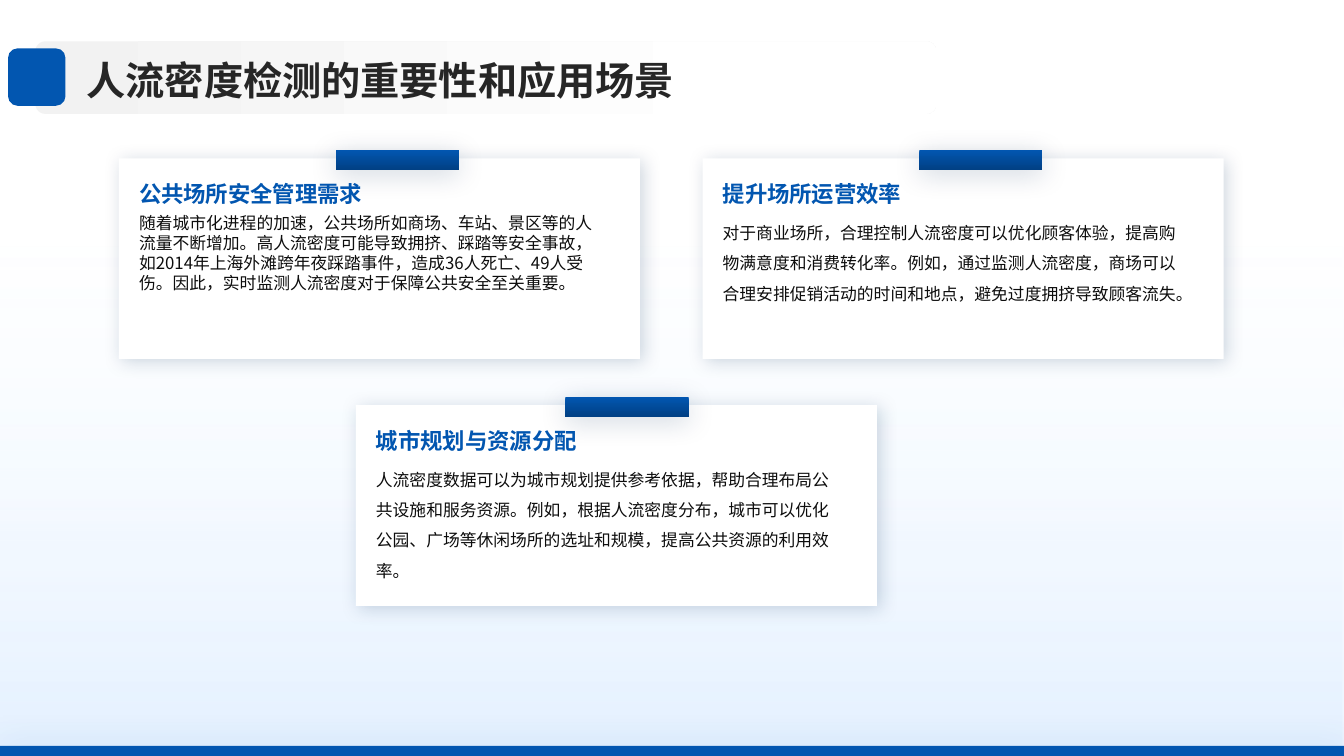
from lxml import etree
from pptx import Presentation
from pptx.dml.color import RGBColor
from pptx.enum import lang, shapes, text
from pptx.oxml.ns import qn
from pptx.util import Pt

FONT = "Noto Sans CJK SC"
BLUE = "0256B0"
WIDTH, HEIGHT = 960, 540
TITLE = "人流密度检测的重要性和应用场景"

# left, top, offset of the tab, line spacing, heading, body
CARDS = [
    (84.96, 113.04, 154.8, 1.0, "公共场所安全管理需求",
     "随着城市化进程的加速，公共场所如商场、车站、景区等的人流量不断增加。"
     "高人流密度可能导致拥挤、踩踏等安全事故，如2014年上海外滩跨年夜踩踏事件，"
     "造成36人死亡、49人受伤。因此，实时监测人流密度对于保障公共安全至关重要。"),
    (254.16, 289.44, 149.76, 1.5, "城市规划与资源分配",
     "人流密度数据可以为城市规划提供参考依据，帮助合理布局公共设施和服务资源。"
     "例如，根据人流密度分布，城市可以优化公园、广场等休闲场所的选址和规模，"
     "提高公共资源的利用效率。"),
    (501.84, 113.04, 154.8, 1.5, "提升场所运营效率",
     "对于商业场所，合理控制人流密度可以优化顾客体验，提高购物满意度和消费转化率。"
     "例如，通过监测人流密度，商场可以合理安排促销活动的时间和地点，"
     "避免过度拥挤导致顾客流失。"),
]
CARD_WIDTH, CARD_HEIGHT = 372.24, 143.28
CARD_PADDING, TEXT_WIDTH = 14.4, 328.32

# colour, opacity %, blur, distance, angle
CARD_SHADOW = ("012B58", 19, 13, 3, 45)
TAB_SHADOW = ("012B58", 19, 20, 3, 90)
BAR_SHADOW = (BLUE, 20, 25, 0, 0)
# position, colour, opacity %
TAB_STOPS = [(0, BLUE, 100), (1, "014084", 100)]
SKY_STOPS = [(0.32, "BDDDFE", 0), (1, "7CBAFE", 20)]
BAND_STOPS = [(0, "F2F2F2", 100), (0.8, "FFFFFF", 100)]

RECTANGLE = shapes.MSO_SHAPE.RECTANGLE
ROUNDED = shapes.MSO_SHAPE.ROUNDED_RECTANGLE


def rgb(value):
    return RGBColor.from_string(value)


def set_alpha(color_element, percent):
    etree.SubElement(color_element, qn("a:alpha"), val=str(percent * 1000))


def add_shadow(shape, color, opacity, blur, distance, angle):
    effects = shape._element.spPr.find(qn("a:effectLst"))
    shadow = etree.SubElement(
        effects, qn("a:outerShdw"), blurRad=str(Pt(blur)), dist=str(Pt(distance)),
        dir=str(angle * 60000), algn="ctr", rotWithShape="0")
    set_alpha(etree.SubElement(shadow, qn("a:srgbClr"), val=color), opacity)


def add_block(slide, kind, box, fill, angle=270, shadow=None):
    """Add an unlined shape; fill is a colour or a list of gradient stops."""
    shape = slide.shapes.add_shape(kind, *map(Pt, box))
    shape.shadow.inherit = False
    shape.line.fill.background()
    if isinstance(fill, str):
        shape.fill.solid()
        shape.fill.fore_color.rgb = rgb(fill)
    else:
        shape.fill.gradient()
        shape.fill.gradient_angle = angle
        for stop, (position, color, _) in zip(shape.fill.gradient_stops, fill):
            stop.position = position
            stop.color.rgb = rgb(color)
        color_elements = shape._element.spPr.iter(qn("a:srgbClr"))
        for element, (_, _, opacity) in zip(color_elements, fill):
            if opacity < 100:
                set_alpha(element, opacity)
    if shadow:
        add_shadow(shape, *shadow)
    return shape


def add_text(slide, box, content, size, color, bold=False, spacing=1.0,
             anchor=text.MSO_ANCHOR.TOP):
    frame = slide.shapes.add_textbox(*map(Pt, box)).text_frame
    frame_format = dict(word_wrap=True, vertical_anchor=anchor, margin_left=0,
                        margin_right=0, margin_top=0, margin_bottom=0)
    for name, value in frame_format.items():
        setattr(frame, name, value)
    paragraph = frame.paragraphs[0]
    paragraph.line_spacing = spacing
    run = paragraph.add_run()
    run.text = content
    run_format = dict(name=FONT, size=Pt(size), bold=bold,
                      language_id=lang.MSO_LANGUAGE_ID.SIMPLIFIED_CHINESE)
    for name, value in run_format.items():
        setattr(run.font, name, value)
    run.font.color.rgb = rgb(color)
    etree.SubElement(run.font._element, qn("a:ea"), typeface=FONT)


def add_card(slide, left, top, tab_offset, spacing, heading, body):
    add_block(slide, RECTANGLE, (left, top, CARD_WIDTH, CARD_HEIGHT), "FFFFFF",
              shadow=CARD_SHADOW)
    add_block(slide, RECTANGLE, (left + tab_offset, top - 5.76, 88, 14.1), TAB_STOPS,
              shadow=TAB_SHADOW)
    text_left = left + CARD_PADDING
    add_text(slide, (text_left, top + 15.84, TEXT_WIDTH, 25.92), heading, 16, BLUE,
             bold=True)
    add_text(slide, (text_left, top + 38.88, TEXT_WIDTH, 95.04), body, 12, "0D0D0D",
             spacing=spacing)


def main():
    presentation = Presentation()
    presentation.slide_width, presentation.slide_height = Pt(WIDTH), Pt(HEIGHT)
    slide = presentation.slides.add_slide(presentation.slide_layouts[6])

    add_block(slide, RECTANGLE, (0, 0, WIDTH, HEIGHT), SKY_STOPS)
    add_block(slide, RECTANGLE, (0, HEIGHT - 7.2, WIDTH, 7.2), BLUE, shadow=BAR_SHADOW)
    for card in CARDS:
        add_card(slide, *card)

    band = add_block(slide, ROUNDED, (25.2, 29.52, 643.68, 51.84), BAND_STOPS, angle=0)
    band.adjustments[0] = 0.14
    add_text(slide, (61.92, 36.72, 840.24, 36.72), TITLE, 28, "262626", bold=True,
             spacing=1.1, anchor=text.MSO_ANCHOR.MIDDLE)
    add_block(slide, ROUNDED, (5.76, 34.56, 41.04, 41.04), BLUE)

    presentation.save("out.pptx")


if __name__ == "__main__":
    main()
